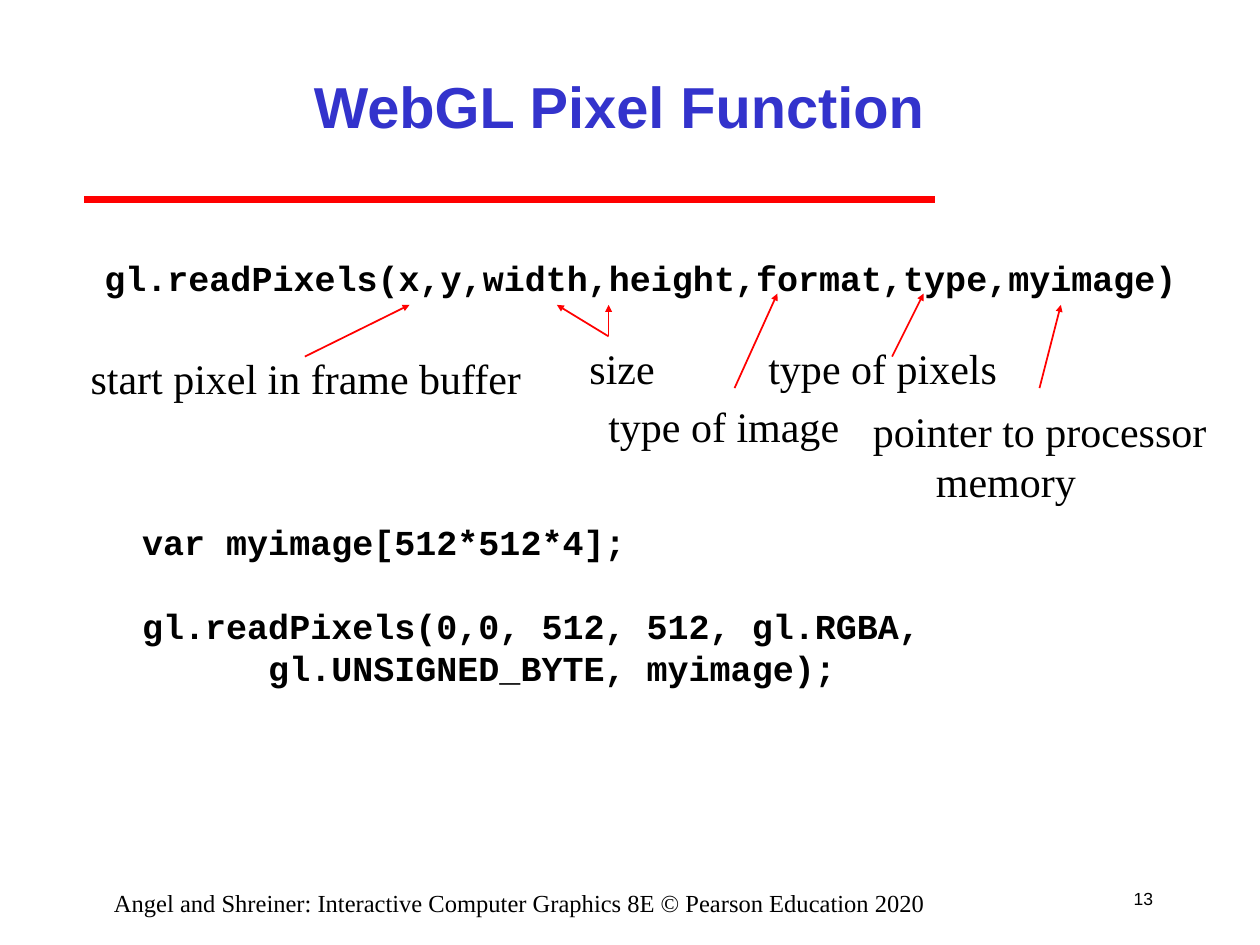
from dataclasses import dataclass

from lxml.etree import SubElement
from pptx import Presentation
from pptx.dml.color import RGBColor
from pptx.enum.shapes import MSO_CONNECTOR
from pptx.enum.text import MSO_ANCHOR, PP_ALIGN
from pptx.oxml.ns import qn
from pptx.slide import Slide
from pptx.util import Inches, Pt

COLORS = {"title": "3333CC", "text": "000000", "accent": "FF0000"}
SANS, SERIF, MONO = "Arial", "Times New Roman", "Courier New"
LINE_HEIGHT = 1.2  # line pitch as a multiple of the font size


@dataclass
class SlideBuilder:
    slide: Slide

    def text(self, box, lines, size, font, color="text", bold=False,
             align=PP_ALIGN.LEFT, anchor=MSO_ANCHOR.TOP, wrap=False,
             pitch=None):
        """Add a text box with one paragraph per line; return its paragraphs."""
        frame = self.slide.shapes.add_textbox(*map(Inches, box)).text_frame
        frame.word_wrap = wrap
        frame.vertical_anchor = anchor
        for index, line in enumerate(lines):
            paragraph = frame.add_paragraph() if index else frame.paragraphs[0]
            paragraph.alignment = align
            if pitch:
                paragraph.line_spacing = Pt(size * pitch)
            run = paragraph.add_run()
            run.text = line
            run.font.name = font
            run.font.size = Pt(size)
            run.font.bold = bold
            run.font.color.rgb = RGBColor.from_string(COLORS[color])
        return frame.paragraphs

    def code(self, box, lines):
        return self.text(box, lines, 20, MONO, bold=True, pitch=LINE_HEIGHT)

    def label(self, box, lines):
        return self.text(box, lines, 24, SERIF, pitch=LINE_HEIGHT)

    def line(self, start, end, width):
        connector = self.slide.shapes.add_connector(
            MSO_CONNECTOR.STRAIGHT, *map(Inches, start + end))
        connector.line.color.rgb = RGBColor.from_string(COLORS["accent"])
        connector.line.width = Pt(width)
        SubElement(connector._element.spPr, qn("a:effectLst"))
        return connector

    def arrow(self, start, end):
        outline = self.line(start, end, 1).line._get_or_add_ln()
        SubElement(outline, qn("a:tailEnd"), type="triangle", w="sm", len="sm")


def main():
    prs = Presentation()
    prs.slide_width, prs.slide_height = Inches(10), Inches(7.5)
    page = SlideBuilder(prs.slides.add_slide(prs.slide_layouts[6]))

    # Title and rule
    page.line((0.67, 1.58), (7.42, 1.58), 4)
    page.text((1.5, 0.25, 6.83, 1.17), ["WebGL Pixel Function"], 33, SANS,
              color="title", bold=True, align=PP_ALIGN.CENTER,
              anchor=MSO_ANCHOR.MIDDLE, wrap=True)

    # Function signature
    page.code((0.73, 1.99, 8.72, 0.44),
              ["gl.readPixels(x,y,width,height,format,type,myimage)"])

    # Parameter labels
    for box, caption in (
        ((0.62, 2.75, 3.65, 0.5), "start pixel in frame buffer"),
        ((4.58, 2.67, 0.75, 0.5), "size"),
        ((4.73, 3.13, 2.06, 0.5), "type of image"),
        ((6, 2.67, 2.06, 0.5), "type of pixels"),
    ):
        page.label(box, [caption])
    pointer_lines = page.label((6.83, 3.17, 2.93, 0.9),
                               ["pointer to processor", "memory"])
    memory_format = pointer_lines[1]._p.get_or_add_pPr()
    memory_format.set("marL", str(Inches(0.5)))
    memory_format.set("indent", "0")

    # Arrows from labels to parameters
    for start, end in (
        ((2.42, 2.83), (3.25, 2.42)),
        ((4.83, 2.67), (4.42, 2.42)),
        ((4.83, 2.67), (4.83, 2.42)),
        ((5.83, 3.08), (6.17, 2.33)),
        ((7.08, 2.83), (7.33, 2.33)),
        ((8.25, 3.08), (8.42, 2.42)),
    ):
        page.arrow(start, end)

    # Example call, set one line below the declaration
    example = page.code((1.03, 4.08, 6.54, 1.44), [
        "var myimage[512*512*4];",
        "gl.readPixels(0,0, 512, 512, gl.RGBA,",
        "      gl.UNSIGNED_BYTE, myimage);",
    ])
    example[1].space_before = Pt(20 * LINE_HEIGHT)

    # Footer and slide number
    page.text((0.5, 7, 7.25, 0.25),
              ["Angel and Shreiner: Interactive Computer Graphics 8E "
               "© Pearson Education 2020"],
              14, SERIF, align=PP_ALIGN.CENTER, wrap=True)
    page.text((8.83, 6.92, 0.42, 0.42), ["13"], 10, SANS,
              align=PP_ALIGN.RIGHT, anchor=MSO_ANCHOR.MIDDLE)

    prs.save("out.pptx")


if __name__ == "__main__":
    main()
